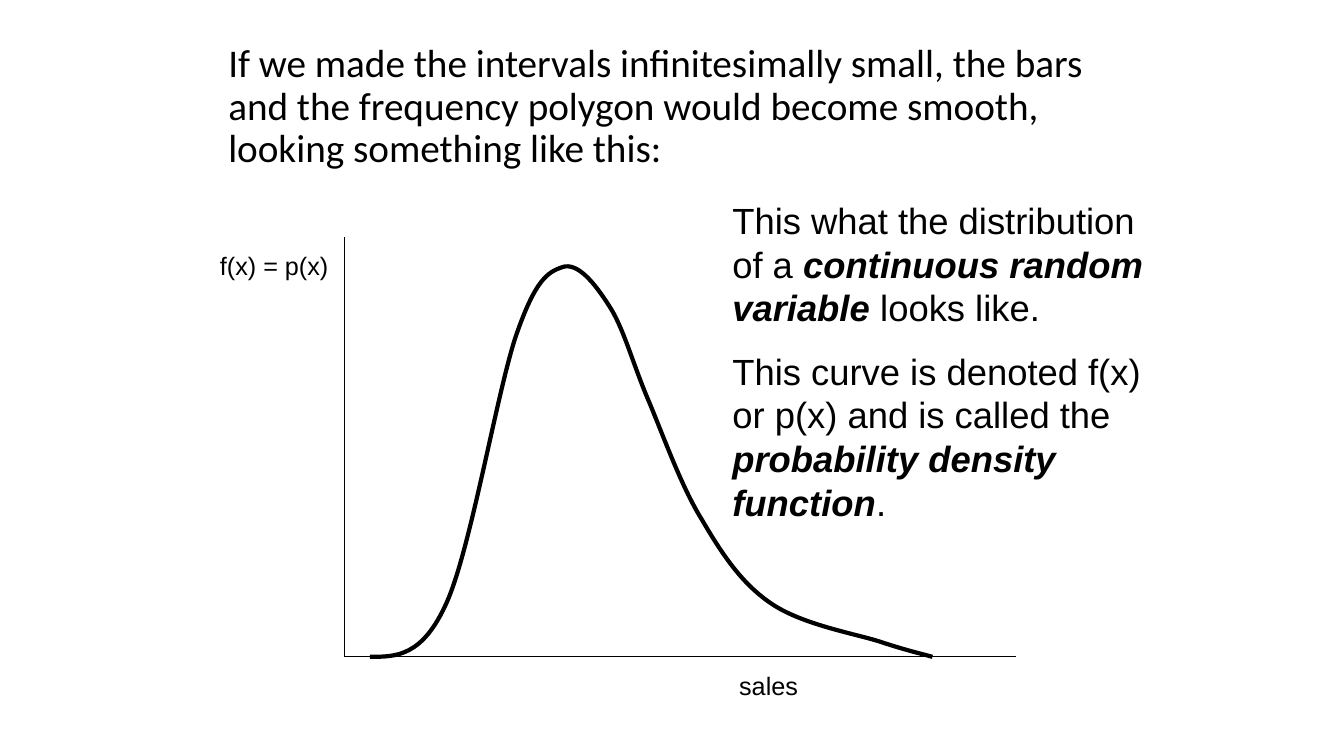
"""Build a slide showing the density curve of a continuous random variable."""
from lxml.etree import SubElement
from pptx import Presentation
from pptx.dml.color import RGBColor
from pptx.enum.shapes import MSO_CONNECTOR as CONNECTOR
from pptx.enum.text import MSO_ANCHOR as ANCHOR, MSO_AUTO_SIZE as AUTO_SIZE, PP_ALIGN as ALIGN
from pptx.oxml.ns import qn
from pptx.util import Pt

COLORS = {"ink": "000000", "background": "FFFFFF"}
INK = RGBColor.from_string(COLORS["ink"])


def add_text(box, paragraphs, size, font="Arial", align=ALIGN.LEFT,
             anchor=ANCHOR.TOP, spacing=1.0, fit=AUTO_SIZE.SHAPE_TO_FIT_TEXT):
    """Add a text box; each paragraph is a list of (text, emphasised) runs."""
    frame = slide.shapes.add_textbox(*(Pt(value) for value in box)).text_frame
    frame.word_wrap = True
    frame.auto_size = fit
    frame.vertical_anchor = anchor
    for index, runs in enumerate(paragraphs):
        paragraph = frame.add_paragraph() if index else frame.paragraphs[0]
        paragraph.alignment = align
        paragraph.line_spacing = spacing
        paragraph.space_before = Pt(14 if index else 0)
        for text, emphasised in runs:
            run = paragraph.add_run()
            run.text = text
            run.font.name = font
            run.font.size = Pt(size)
            run.font.bold = run.font.italic = emphasised
            run.font.color.rgb = INK


presentation = Presentation()
presentation.slide_width = Pt(960)
presentation.slide_height = Pt(540)
slide = presentation.slides.add_slide(presentation.slide_layouts[6])
slide.background.fill.solid()
slide.background.fill.fore_color.rgb = RGBColor.from_string(COLORS["background"])

title = ("If we made the intervals infinitesimally small, the bars and the "
         "frequency polygon would become smooth, looking something like this:")
add_text((156, 21.6, 648, 110.4), [[(title, False)]], 28, "Calibri",
         anchor=ANCHOR.MIDDLE, spacing=0.9, fit=AUTO_SIZE.NONE)

origin = (246, 469.2)
for axis_end in [(246, 169.2), (726, 469.2)]:
    axis = slide.shapes.add_connector(
        CONNECTOR.STRAIGHT, *(Pt(value) for value in origin + axis_end))
    axis.line.color.rgb = INK
    axis.line.width = Pt(0.75)
    SubElement(axis.element.spPr, qn("a:effectLst"))

curve_start = (264.2, 469.2)
bezier_segments = [
    ((283, 469.2), (301.7, 469.2), (319, 430.6)),
    ((336.2, 392.4), (355, 280.1), (368.6, 239.8)),
    ((382.3, 200.2), (391, 194.4), (401.8, 190.8)),
    ((412.6, 187.2), (424.8, 202.3), (434.9, 218.2)),
    ((445, 233.3), (451.4, 257.8), (462.2, 283.7)),
    ((473, 308.9), (486, 346.3), (501.1, 370.8)),
    ((515.5, 395.3), (529.2, 416.2), (550.1, 430.6)),
    ((571.7, 445.7), (608.4, 452.2), (627.1, 457.9)),
    ((646.6, 464.4), (656.6, 466.6), (666, 469.2)),
]
builder = slide.shapes.build_freeform(*(Pt(value) for value in curve_start))
for segment in bezier_segments:
    builder.add_line_segments([(Pt(x), Pt(y)) for x, y in segment], close=False)
density_curve = builder.convert_to_shape()

outline = next(density_curve.element.iter(qn("a:path")))
straight_lines = outline.findall(qn("a:lnTo"))
for first in range(0, len(straight_lines), 3):
    bezier = SubElement(outline, qn("a:cubicBezTo"))
    for line in straight_lines[first:first + 3]:
        bezier.append(line[0])
        outline.remove(line)

density_curve.shadow.inherit = False
density_curve.fill.background()
density_curve.line.color.rgb = INK
density_curve.line.width = Pt(3)

add_text((150, 175, 96, 29), [[("f(x) = p(x)", False)]], 18)
add_text((366, 475, 366, 29), [[("sales", False)]], 18, align=ALIGN.CENTER)
add_text((516, 138, 312, 242), [
    [("This what the distribution of a ", False),
     ("continuous random variable", True),
     (" looks like.", False)],
    [("This curve is denoted f(x) or p(x) and is called the ", False),
     ("probability density function", True),
     (".", False)],
], 26)

presentation.save("out.pptx")
